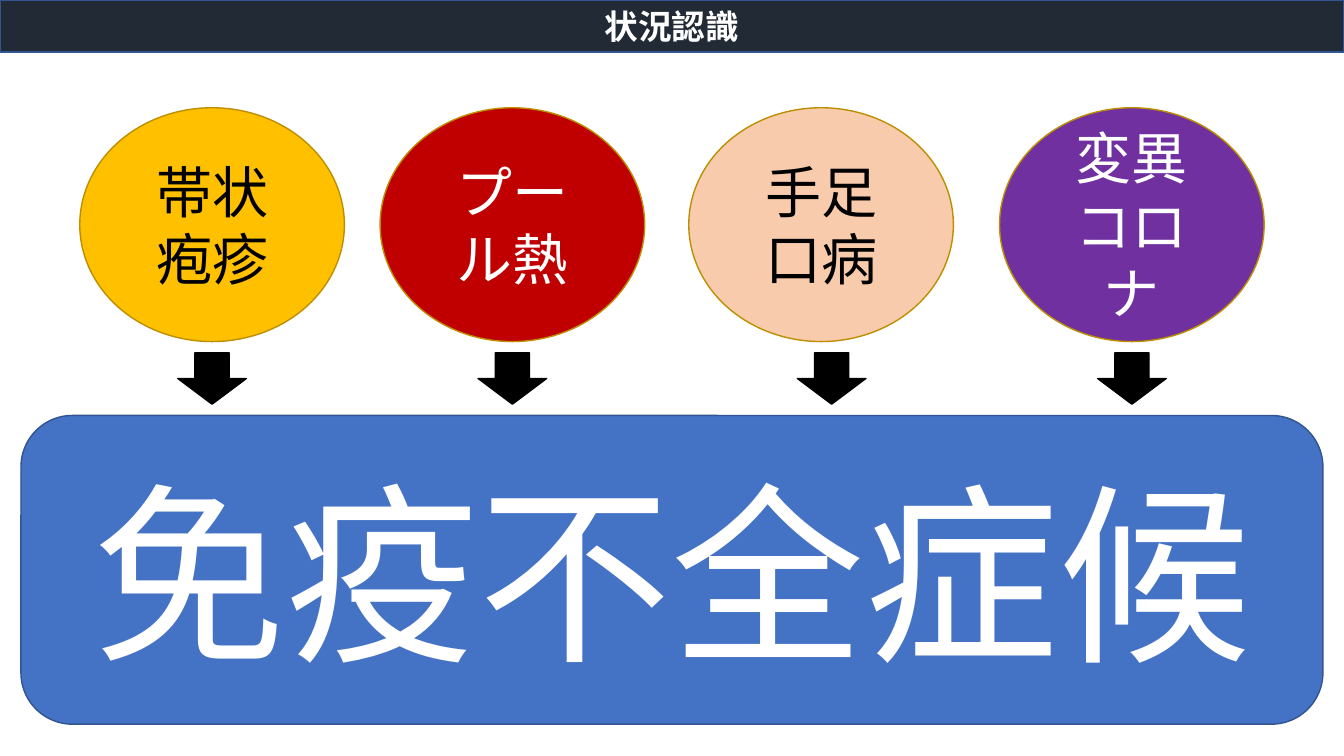
from dataclasses import dataclass

from pptx import Presentation
from pptx.dml.color import RGBColor
from pptx.enum import shapes, text
from pptx.oxml import ns
from pptx.util import Pt
from lxml import etree

FONT = "Noto Sans CJK JP"
HEX = {
    "navy": "222A35", "blue": "4472C4", "edge": "325491", "gold": "FFC000",
    "rim": "BD8E00", "red": "C00000", "peach": "F8CBAD", "purple": "7030A0",
    "black": "000000", "white": "FFFFFF",
}
KIND = shapes.MSO_SHAPE


@dataclass
class Box:
    kind: KIND
    left: float
    top: float
    width: float
    height: float
    fill: str
    line: str
    words: str = ""
    size: float = 40
    ink: str = "white"
    bold: bool = False


@dataclass
class Cause:
    words: str
    left: float
    arrow: float
    fill: str
    ink: str


def color(name: str) -> RGBColor:
    return RGBColor.from_string(HEX[name])


def draw(slide, box: Box) -> None:
    shape = slide.shapes.add_shape(
        box.kind, Pt(box.left), Pt(box.top), Pt(box.width), Pt(box.height))
    shape.shadow.inherit = False
    shape.fill.solid()
    shape.fill.fore_color.rgb = color(box.fill)
    shape.line.color.rgb = color(box.line)
    shape.line.width = Pt(1)
    if not box.words:
        return
    frame = shape.text_frame
    frame.text = box.words
    frame.word_wrap = True
    frame.vertical_anchor = text.MSO_ANCHOR.MIDDLE
    for para in frame.paragraphs:
        para.alignment = text.PP_ALIGN.CENTER
        for run in para.runs:
            font = run.font
            font.name = FONT
            font.size = Pt(box.size)
            font.bold = box.bold
            font.color.rgb = color(box.ink)
            # East Asian typeface
            east = etree.SubElement(run._r.get_or_add_rPr(), ns.qn("a:ea"))
            east.set("typeface", FONT)


def main() -> None:
    deck = Presentation()
    deck.slide_width, deck.slide_height = Pt(960), Pt(540)
    slide = deck.slides.add_slide(deck.slide_layouts[6])

    # Title bar and result
    draw(slide, Box(KIND.RECTANGLE, 0, 0.5, 960, 36.75, "navy", "edge",
                    "状況認識", 24, bold=True))
    draw(slide, Box(KIND.ROUNDED_RECTANGLE, 15, 296.75, 930, 220.5, "blue",
                    "edge", "免疫不全症候", 138))

    # Causes, each with an arrow to the result
    causes = [
        Cause("帯状疱疹", 57, 127, "gold", "black"),
        Cause("プール熱", 271.5, 341.5, "red", "white"),
        Cause("手足口病", 492, 569.5, "peach", "black"),
        Cause("変異\nコロナ", 714, 784, "purple", "white"),
    ]
    for cause in causes:
        draw(slide, Box(KIND.OVAL, cause.left, 77, 189, 167, cause.fill,
                        "rim", cause.words, ink=cause.ink))
        draw(slide, Box(KIND.DOWN_ARROW, cause.arrow, 252, 49, 36.75,
                        "black", "black"))

    deck.save("out.pptx")


if __name__ == "__main__":
    main()
